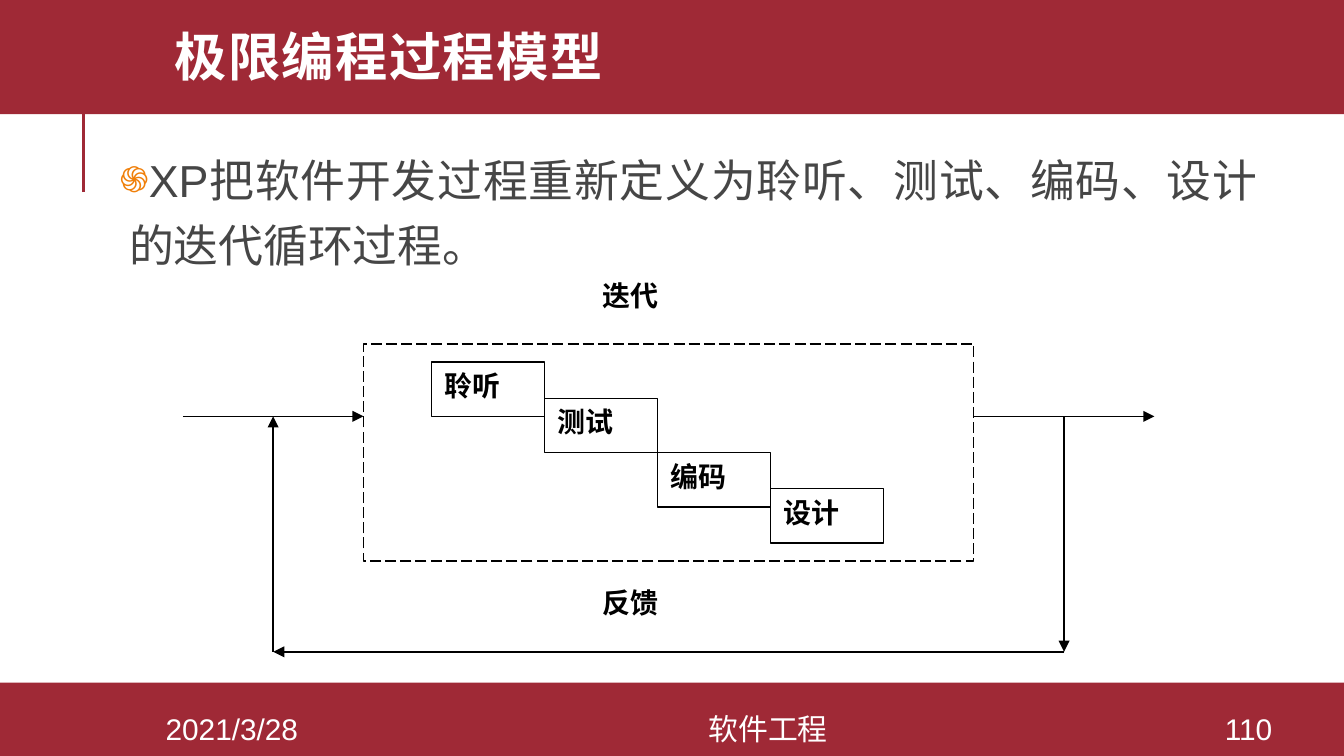
from lxml.etree import SubElement
from pptx import Presentation
from pptx.dml.color import RGBColor
from pptx.enum.dml import MSO_LINE
from pptx.enum.shapes import MSO_CONNECTOR, MSO_SHAPE
from pptx.enum.text import MSO_ANCHOR, PP_ALIGN
from pptx.oxml.ns import qn
from pptx.util import Inches, Pt

HUES = {"brand": "9F2936", "paper": "FFFFFF", "ink": "000000",
        "body": "464646", "mark": "F07F09"}
WIDE = 10
HIGH = WIDE * 9 / 16

# The diagram is a grid of 43 columns and 21 rows.
LEFT, TOP = 1.36, 2.02
COL, ROW = 7.23 / 43, 2.83 / 21

LABEL = {"size": Pt(15), "name": "Times New Roman", "bold": True}
FOOT = {"size": Pt(16), "name": "Arial"}
TITLE = {"size": Pt(28), "name": "Montserrat", "bold": True}
BODY = {"size": Pt(24), "name": "Arial"}


def tint(name):
    return RGBColor.from_string(HUES[name])


def spot(col, row):
    return LEFT + col * COL, TOP + row * ROW


def area(col, row, cols, rows):
    return *spot(col, row), cols * COL, rows * ROW


def write(shape, text, font, hue, align, anchor=MSO_ANCHOR.TOP):
    frame = shape.text_frame
    frame.word_wrap = True
    frame.vertical_anchor = anchor
    para = frame.paragraphs[0]
    para.alignment = align
    run = para.add_run()
    run.text = text
    for key, value in font.items():
        setattr(run.font, key, value)
    run.font.color.rgb = tint(hue)
    return para


def add_text(slide, box, *style):
    shape = slide.shapes.add_textbox(*map(Inches, box))
    return shape, write(shape, *style)


def add_rect(slide, box, fill, line=None, dash=None):
    shape = slide.shapes.add_shape(MSO_SHAPE.RECTANGLE, *map(Inches, box))
    shape.shadow.inherit = False
    shape.fill.solid()
    shape.fill.fore_color.rgb = tint(fill)
    if line:
        shape.line.color.rgb = tint(line)
        shape.line.width = Pt(0.75)
        shape.line.dash_style = dash
    else:
        shape.line.fill.background()
    return shape


def add_line(slide, start, end, hue="ink", width=0.75, head=True):
    line = slide.shapes.add_connector(
        MSO_CONNECTOR.STRAIGHT, *map(Inches, (*start, *end)))
    line.line.color.rgb = tint(hue)
    line.line.width = Pt(width)
    props = line._element.spPr
    if head:
        SubElement(props.find(qn("a:ln")), qn("a:tailEnd"), type="triangle")
    SubElement(props, qn("a:effectLst"))


def add_bullet(para, char, hue, share):
    props = para._p.get_or_add_pPr()
    for key, value in {"marL": 0.07, "indent": -0.47}.items():
        props.set(key, str(Inches(value)))
    color = SubElement(props, qn("a:buClr"))
    SubElement(color, qn("a:srgbClr"), val=HUES[hue])
    SubElement(props, qn("a:buSzPct"), val=str(share * 1000))
    SubElement(props, qn("a:buFont"), typeface="Arial")
    SubElement(props, qn("a:buChar"), char=char)


def add_frame(slide):
    add_line(slide, (0.62, 1.43), (0.62, 0.68), "brand", 1.5, False)
    add_rect(slide, (0, 5.08, WIDE, HIGH - 5.08), "brand")
    add_rect(slide, (0, -0.03, WIDE, 0.88), "brand")
    _, para = add_text(slide, (1.2, 0, 8.49, 0.91), "极限编程过程模型",
                       TITLE, "paper", PP_ALIGN.LEFT, MSO_ANCHOR.MIDDLE)
    para.line_spacing = 0.8
    para.runs[0]._r.get_or_add_rPr().set("spc", "80")
    for left, width, text in ((0.84, 1.77, "2021/3/28"),
                              (2.61, 6.21, "软件工程"), (8.89, 0.8, "110")):
        add_text(slide, (left, 5.31, width, 0.23), text,
                 FOOT, "paper", PP_ALIGN.CENTER, MSO_ANCHOR.MIDDLE)


def add_body(slide):
    shape, para = add_text(
        slide, (0.84, 1.01, 8.57, 4.16),
        "XP把软件开发过程重新定义为聆听、测试、编码、设计的迭代循环过程。",
        BODY, "body", PP_ALIGN.JUSTIFY)
    for side in ("left", "right", "top", "bottom"):
        setattr(shape.text_frame, f"margin_{side}", Inches(0.05))
    para.line_spacing = 1.2
    add_bullet(para, "֍", "mark", 80)


def add_cycle(slide):
    add_rect(slide, area(8, 4, 27, 12), "paper", "ink", MSO_LINE.LONG_DASH)
    steps = zip(("聆听", "测试", "编码", "设计"), (5, 7, 10, 12))
    for index, (text, row) in enumerate(steps):
        box = add_rect(slide, area(11 + 5 * index, row, 5, 3), "paper", "ink")
        write(box, text, LABEL, "ink", PP_ALIGN.JUSTIFY)
    for text, row in (("迭代", 0), ("反馈", 17)):
        add_text(slide, area(18, row, 5, 3), text,
                 LABEL, "ink", PP_ALIGN.JUSTIFY)
    for start, end in (((0, 8), (8, 8)), ((35, 8), (43, 8))):
        add_line(slide, spot(*start), spot(*end))
    loop = [(39, 8), (39, 21), (4, 21), (4, 8)]
    for start, end in zip(loop, loop[1:]):
        add_line(slide, spot(*start), spot(*end))


def main():
    deck = Presentation()
    deck.slide_width, deck.slide_height = Inches(WIDE), Inches(HIGH)
    slide = deck.slides.add_slide(deck.slide_layouts[6])
    add_frame(slide)
    add_body(slide)
    add_cycle(slide)
    deck.save("out.pptx")


if __name__ == "__main__":
    main()
